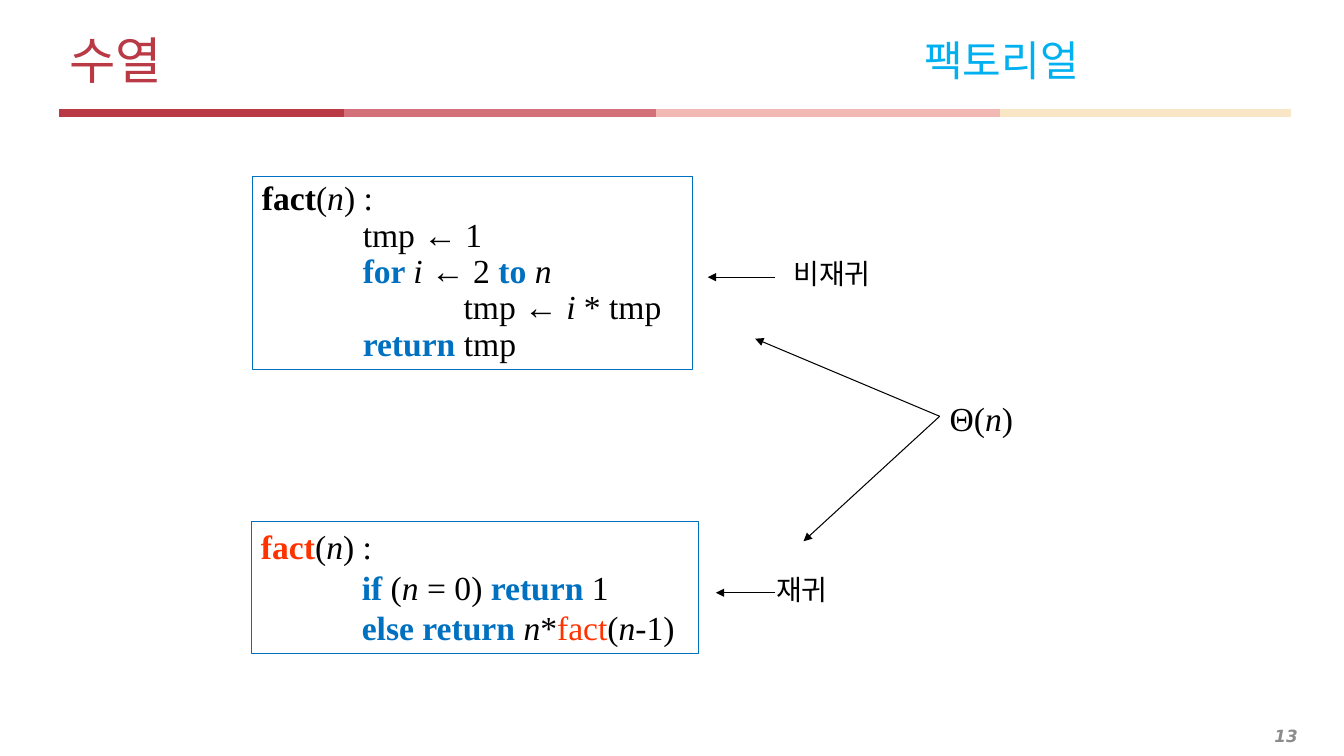
from lxml import etree
from pptx import Presentation
from pptx.dml.color import RGBColor
from pptx.enum.shapes import MSO_CONNECTOR, MSO_SHAPE
from pptx.enum.text import MSO_ANCHOR, PP_ALIGN
from pptx.oxml.ns import qn
from pptx.util import Inches, Pt

LINE = MSO_CONNECTOR.STRAIGHT
RECT = MSO_SHAPE.RECTANGLE
TOP, MIDDLE = MSO_ANCHOR.TOP, MSO_ANCHOR.MIDDLE
LEFT, RIGHT = PP_ALIGN.LEFT, PP_ALIGN.RIGHT

BLACK = RGBColor(0x00, 0x00, 0x00)
BLUE = RGBColor(0x00, 0x70, 0xC0)
SKY = RGBColor(0x00, 0xB0, 0xF0)
ORANGE = RGBColor(0xFF, 0x33, 0x00)
GREY = RGBColor(0x8C, 0x8C, 0x8C)
RED = RGBColor(0xB9, 0x39, 0x45)
ROSE = RGBColor(0xD3, 0x70, 0x79)
PINK = RGBColor(0xF2, 0xB8, 0xB4)
CREAM = RGBColor(0xF8, 0xE6, 0xC7)

SERIF, HANGUL, SANS = "Times New Roman", "Noto Sans CJK KR", "DejaVu Sans"

# Run styles: colour, bold, italic
PLAIN = (BLACK, False, False)
BOLD = (BLACK, True, False)
VAR = (BLACK, False, True)
KEY = (BLUE, True, False)
NAME = (ORANGE, True, False)
CALL = (ORANGE, False, False)

# Code lines: indent depth, then runs
LOOP = [
    (0, [("fact", BOLD), ("(", PLAIN), ("n", VAR), (") :", PLAIN)]),
    (1, [("tmp ← 1", PLAIN)]),
    (1, [("for ", KEY), ("i ← ", VAR), ("2 ", PLAIN), ("to", KEY), (" n", VAR)]),
    (2, [("tmp ← ", PLAIN), ("i", VAR), (" * tmp", PLAIN)]),
    (1, [("return ", KEY), ("tmp", PLAIN)]),
]
RECUR = [
    (0, [("fact", NAME), ("(", PLAIN), ("n", VAR), (") :", PLAIN)]),
    (1, [("if", KEY), (" (", PLAIN), ("n ", VAR), ("= 0) ", PLAIN),
         ("return", KEY), (" 1", PLAIN)]),
    (1, [("else return ", KEY), ("n", VAR), ("*", PLAIN), ("fact", CALL),
         ("(", PLAIN), ("n", VAR), ("-1)", PLAIN)]),
]


def add_runs(para, runs, font, size):
    for text, (color, bold, italic) in runs:
        run = para.add_run()
        run.text = text
        face = run.font
        face.name, face.size = font, Pt(size)
        face.color.rgb, face.bold, face.italic = color, bold, italic
        if font == HANGUL:
            east = etree.SubElement(face._element, qn("a:ea"))
            east.set("typeface", font)


def add_label(slide, box, runs, font, size, anchor=TOP, align=LEFT):
    label = slide.shapes.add_textbox(*map(Inches, box))
    frame = label.text_frame
    frame.word_wrap = False
    frame.vertical_anchor = anchor
    para = frame.paragraphs[0]
    para.alignment = align
    add_runs(para, runs, font, size)


def add_line(slide, start, end, color=BLACK, width=0.75, arrow=False):
    line = slide.shapes.add_connector(LINE, *map(Inches, (*start, *end)))
    line.line.color.rgb = color
    line.line.width = Pt(width)
    if arrow:
        tail = etree.SubElement(line.line._get_or_add_ln(), qn("a:tailEnd"))
        tail.set("type", "triangle")
    etree.SubElement(line._element.spPr, qn("a:effectLst"))


def add_head(slide, box):
    x, y, w, h = box
    add_label(slide, (x, y, 2, h), [("수열", (RED, False, False))],
              HANGUL, 36, MIDDLE)
    add_label(slide, (x + 8.48, y, 2, h), [("팩토리얼", (SKY, False, False))],
              HANGUL, 30, MIDDLE)
    # Four-colour rule under the title
    stops = [x, 3.41, 6.51, 9.92, x + w]
    for left, right, color in zip(stops, stops[1:], (RED, ROSE, PINK, CREAM)):
        add_line(slide, (left, y + 0.87), (right, y + 0.87), color, 6)


def add_code(slide, box, lines, pitch):
    panel = slide.shapes.add_shape(RECT, *map(Inches, box))
    panel.shadow.inherit = False
    panel.fill.background()
    panel.line.color.rgb = BLUE
    panel.line.width = Pt(0.75)
    frame = panel.text_frame
    frame.word_wrap = False
    frame.vertical_anchor = TOP
    for row, (depth, runs) in enumerate(lines):
        para = frame.add_paragraph() if row else frame.paragraphs[0]
        para.alignment = LEFT
        para.line_spacing = Pt(pitch)
        para._p.get_or_add_pPr().set("marL", str(Inches(depth)))
        add_runs(para, runs, SERIF, 24)


def add_note(slide, box, text, tip):
    x, y, w, h = box
    add_label(slide, box, [(text, PLAIN)], HANGUL, 20)
    add_line(slide, (7.69, y + 0.25), (tip, y + 0.25), arrow=True)


def add_cost(slide, box):
    x, y, w, h = box
    for tip in ((x - 1.83, y - 0.54), (x - 1.35, y + 1.47)):
        add_line(slide, (x, y + 0.23), tip, arrow=True)
    add_label(slide, box, [("Θ(", PLAIN), ("n", VAR), (")", PLAIN)], SERIF, 24)


def main():
    deck = Presentation()
    deck.slide_width, deck.slide_height = Inches(13.33), Inches(7.5)
    slide = deck.slides.add_slide(deck.slide_layouts[6])

    add_head(slide, (0.59, 0.25, 12.21, 0.68))
    # Iterative version
    add_code(slide, (2.5, 1.75, 4.37, 1.92), LOOP, 25.9)
    add_note(slide, (7.77, 2.5, 1.04, 0.44), "비재귀", 7.02)
    # Recursive version
    add_code(slide, (2.49, 5.17, 4.44, 1.31), RECUR, 28.8)
    add_note(slide, (7.6, 5.63, 0.76, 0.44), "재귀", 7.1)
    # Shared running time
    add_cost(slide, (9.32, 3.9, 0.84, 0.64))
    # Page number
    add_label(slide, (0.2, 7.14, 12.77, 0.31), [("13", (GREY, True, True))],
              SANS, 12, MIDDLE, RIGHT)
    deck.save("out.pptx")


if __name__ == "__main__":
    main()
